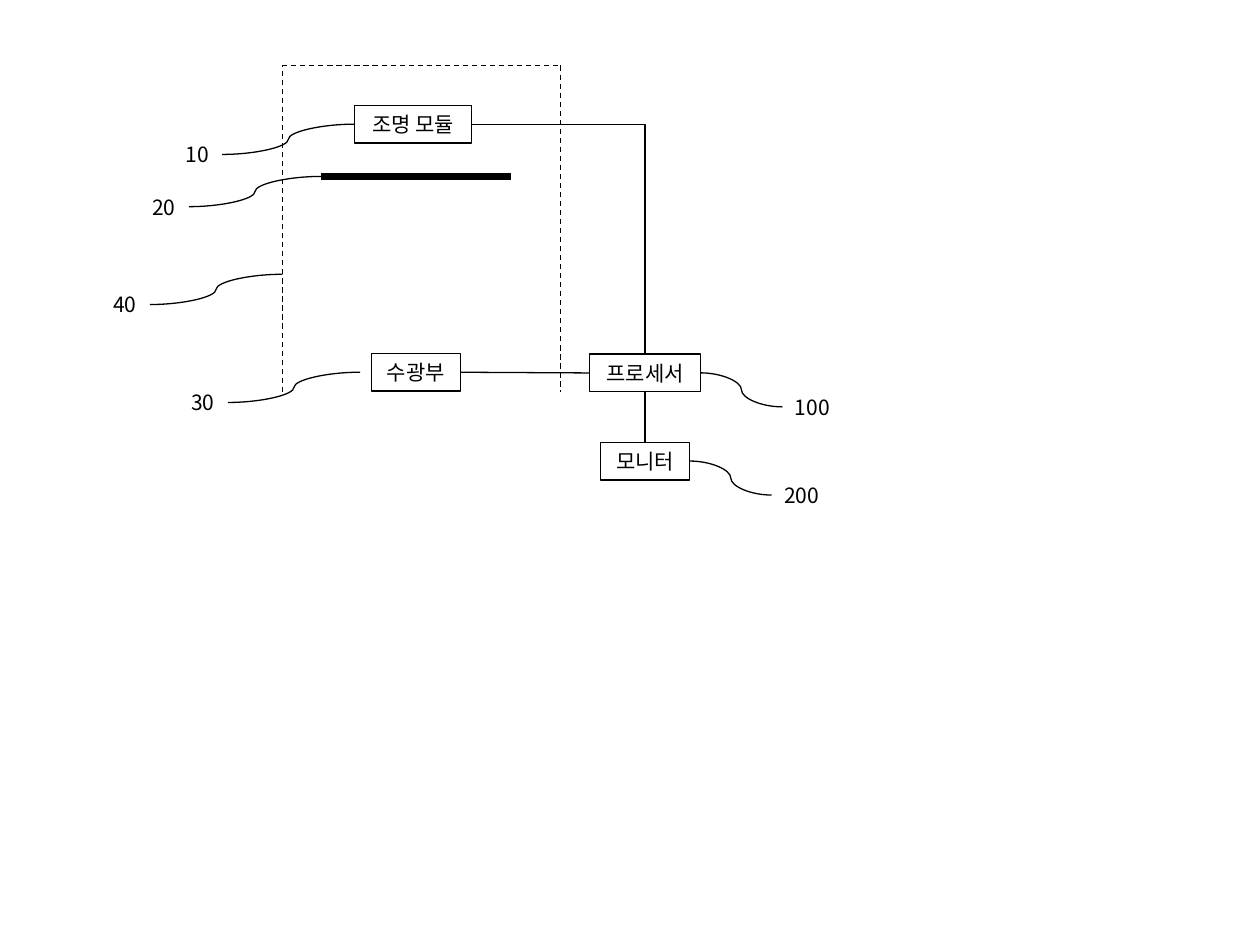
from dataclasses import dataclass

from lxml.etree import SubElement
from pptx import Presentation
from pptx.dml.color import RGBColor
from pptx.enum.dml import MSO_LINE
from pptx.enum.shapes import MSO_CONNECTOR as LINK, MSO_SHAPE
from pptx.enum.text import MSO_ANCHOR, MSO_AUTO_SIZE, PP_ALIGN
from pptx.oxml.ns import qn
from pptx.util import Inches, Pt

BLACK = RGBColor(0, 0, 0)
FONT = "Noto Sans CJK KR"
TOP, LEFT, BOTTOM, RIGHT = range(4)
ROW = 0.3
FRAME_FORMAT = {"word_wrap": False, "auto_size": MSO_AUTO_SIZE.SHAPE_TO_FIT_TEXT,
                "vertical_anchor": MSO_ANCHOR.MIDDLE}
FONT_FORMAT = {"name": FONT, "size": Pt(12)}


@dataclass
class Box:
    left: float
    top: float
    width: float
    height: float

    def at(self, across, down):
        return self.left + across * self.width, self.top + down * self.height

    def inches(self):
        return [Inches(v) for v in (self.left, self.top, self.width, self.height)]


def centred(point, width):
    return Box(point[0] - width / 2, point[1] - ROW / 2, width, ROW)


def apply_format(target, values):
    for key, value in values.items():
        setattr(target, key, value)


def write(shape, words, alignment):
    apply_format(shape.text_frame, FRAME_FORMAT)
    paragraph = shape.text_frame.paragraphs[0]
    paragraph.alignment = alignment
    run = paragraph.add_run()
    run.text = words
    apply_format(run.font, FONT_FORMAT)
    run.font.color.rgb = BLACK
    SubElement(run.font._element, qn("a:ea"), typeface=FONT)


def block(slide, words, box):
    shape = slide.shapes.add_shape(MSO_SHAPE.RECTANGLE, *box.inches())
    shape.shadow.inherit = False
    shape.fill.background()
    shape.line.color.rgb = BLACK
    shape.line.width = Pt(0.75)
    write(shape, words, PP_ALIGN.CENTER)
    return shape


def link(slide, start=(0, 0), end=(0, 0), kind=LINK.STRAIGHT, joins=(None, None),
         weight=0.75, dash=None):
    line = slide.shapes.add_connector(kind, *map(Inches, (*start, *end)))
    for connect, join in zip((line.begin_connect, line.end_connect), joins):
        if join:
            connect(*join)
    line.line.color.rgb = BLACK
    apply_format(line.line, {"width": Pt(weight), "dash_style": dash})
    SubElement(line._element.spPr, qn("a:effectLst"))
    return line


def callout(slide, number, target, side=LEFT, part=None):
    run, drop, width = (-1.05, 0.24, 0.39) if side == LEFT else (0.65, 0.27, 0.48)
    tip = target[0] + run, target[1] + drop
    left = tip[0] - width if side == LEFT else tip[0]
    label = slide.shapes.add_textbox(*Box(left, tip[1] - ROW / 2, width, ROW).inches())
    write(label, number, PP_ALIGN.LEFT)
    facing = RIGHT if side == LEFT else LEFT
    link(slide, tip, target, LINK.CURVE,
         ((label, facing), (part, side) if part else None))


def housing(slide, box):
    corners = [box.at(*share) for share in ((0, 1), (0, 0), (1, 0), (1, 1))]
    for start, end in zip(corners, corners[1:]):
        link(slide, start, end, dash=MSO_LINE.DASH)

    module_box = centred(box.at(0.47, 0.18), 0.93)
    module = block(slide, "조명 모듈", module_box)
    receiver = block(slide, "수광부", centred(box.at(0.48, 0.94), 0.71))
    film_start = box.at(0.14, 0.34)
    link(slide, film_start, box.at(0.82, 0.34), weight=4.5)

    callout(slide, "10", module_box.at(0, 0.5), part=module)
    callout(slide, "20", film_start)
    callout(slide, "30", box.at(0.28, 0.94))
    callout(slide, "40", box.at(0, 0.64))
    return module, receiver


def control(slide, box):
    processor_box = Box(box.left, box.top, box.width, ROW)
    monitor_box = centred((box.at(0.5, 0)[0], box.top + box.height - ROW / 2), 0.71)
    processor = block(slide, "프로세서", processor_box)
    monitor = block(slide, "모니터", monitor_box)
    link(slide, joins=((processor, BOTTOM), (monitor, TOP)))
    callout(slide, "100", processor_box.at(1, 0.5), RIGHT, processor)
    callout(slide, "200", monitor_box.at(1, 0.5), RIGHT, monitor)
    return processor


def main():
    deck = Presentation()
    deck.slide_width, deck.slide_height = Inches(10), Inches(7.5)
    slide = deck.slides.add_slide(deck.slide_layouts[6])
    module, receiver = housing(slide, Box(2.24, 0.52, 2.21, 2.59))
    processor = control(slide, Box(4.68, 2.81, 0.88, 1.0))
    link(slide, joins=((receiver, RIGHT), (processor, LEFT)))
    feed = link(slide, kind=LINK.ELBOW, joins=((module, RIGHT), (processor, TOP)))
    feed._element.spPr.find(qn("a:prstGeom")).set("prst", "bentConnector2")
    deck.save("out.pptx")


if __name__ == "__main__":
    main()
